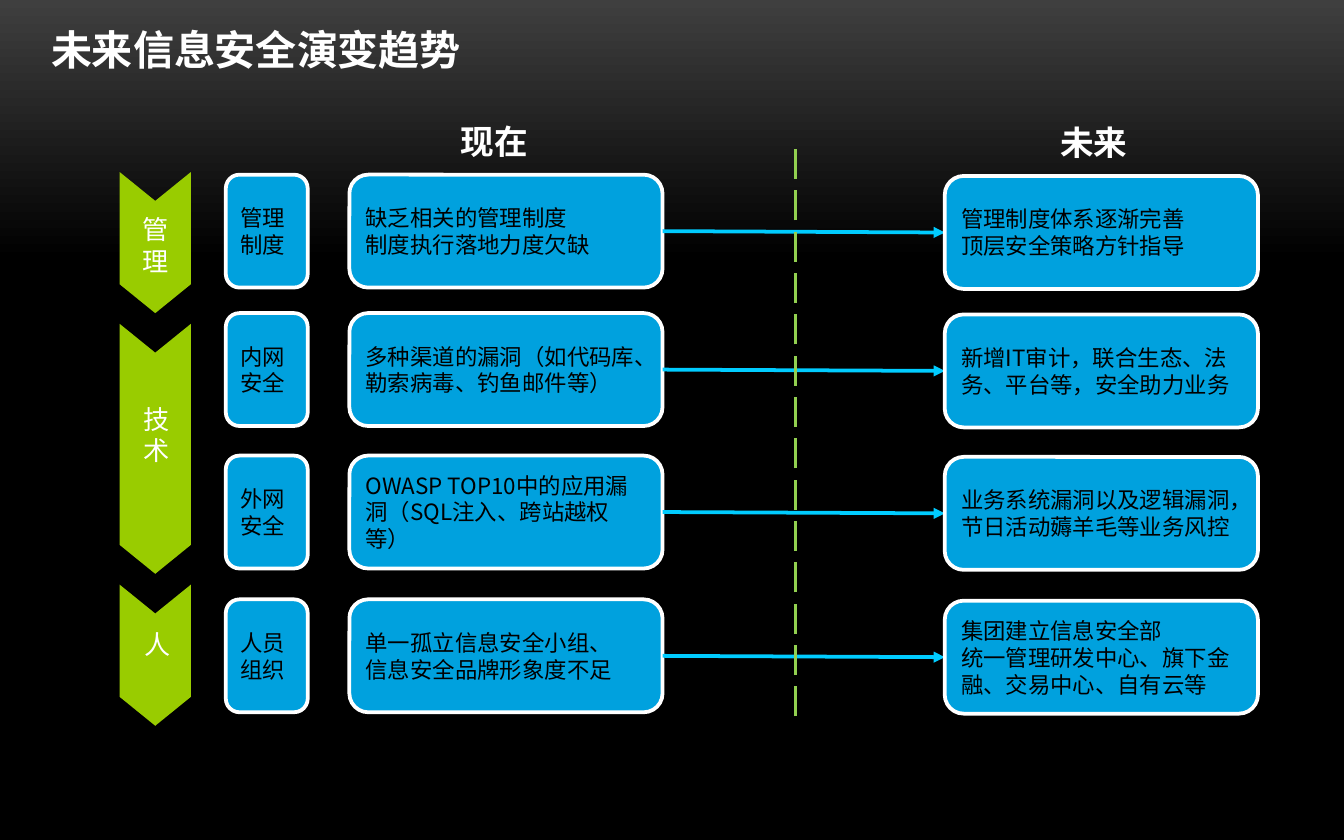
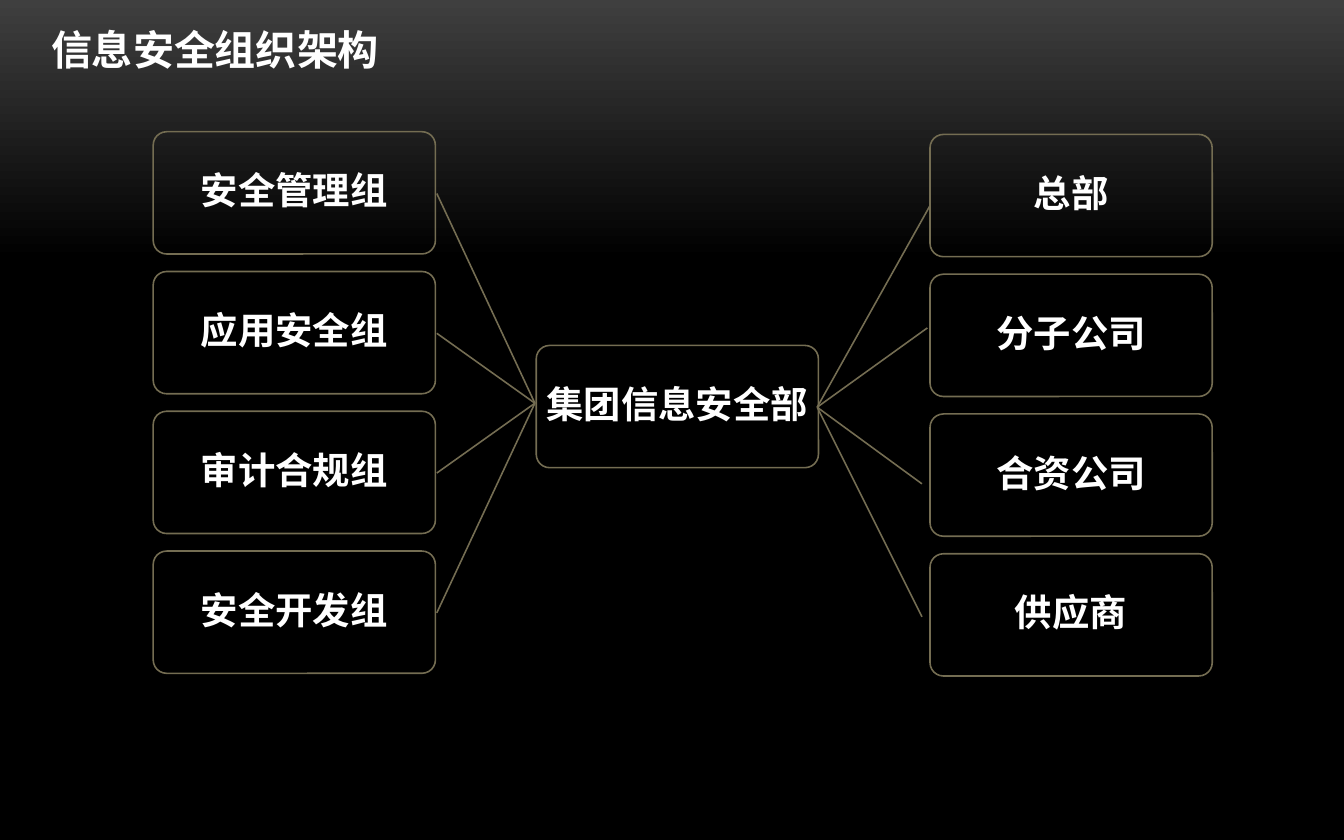
from dataclasses import dataclass

from lxml.etree import SubElement
from pptx import Presentation
from pptx.dml.color import RGBColor
from pptx.enum.dml import MSO_LINE
from pptx.enum.shapes import MSO_CONNECTOR, MSO_SHAPE
from pptx.enum.text import MSO_ANCHOR, PP_ALIGN
from pptx.oxml.ns import qn
from pptx.util import Pt

PX = 9144  # EMU per px, 100 px to the inch
SLIDE_W, SLIDE_H = 1000, 625


@dataclass(frozen=True)
class Theme:
    font: str = "Noto Sans CJK SC"
    bg_top: str = "3F3F3F"
    bg: str = "000000"
    light: str = "FFFFFF"
    dark: str = "000000"
    card: str = "00A1DE"
    arrow: str = "00CCFF"
    divider: str = "92D050"
    chevron: str = "99CC00"
    outline: str = "746D52"
    title_size: int = 22
    unit_size: int = 20
    heading_size: int = 18
    label_size: int = 14
    card_size: int = 12
    thick: float = 2
    thin: float = 0.85


def rgb(color):
    return RGBColor.from_string(color)


def write(tf, text, *, theme, size, color, bold=False, align=PP_ALIGN.LEFT,
          anchor=MSO_ANCHOR.TOP, insets=(10, 5), wrap=True,
          line_spacing=None, after=None):
    """Fill a text frame, one paragraph for each line of text."""
    tf.word_wrap = wrap
    tf.vertical_anchor = anchor
    tf.margin_left = tf.margin_right = insets[0] * PX
    tf.margin_top = tf.margin_bottom = insets[1] * PX
    for i, line in enumerate(text.split("\n")):
        p = tf.add_paragraph() if i else tf.paragraphs[0]
        p.alignment = align
        if line_spacing:
            p.line_spacing = line_spacing
        if after is not None:
            p.space_after = Pt(after)
        r = p.add_run()
        r.text = line
        r.font.size = Pt(size)
        r.font.bold = bold
        r.font.color.rgb = rgb(color)
        r.font.name = theme.font
        rPr = r._r.get_or_add_rPr()
        rPr.set("lang", "zh-CN")
        SubElement(rPr, qn("a:ea"), typeface=theme.font)


class Deck:
    """The presentation, its theme and the slide being drawn."""

    def __init__(self, theme):
        self.theme = theme
        self.prs = Presentation()
        self.prs.slide_width = SLIDE_W * PX
        self.prs.slide_height = SLIDE_H * PX
        self.slide = None
        fill = self.prs.slide_master.background.fill
        fill.gradient()
        fill.gradient_angle = 270
        top, bottom = fill.gradient_stops
        top.position, bottom.position = 0, 0.31
        top.color.rgb, bottom.color.rgb = rgb(theme.bg_top), rgb(theme.bg)

    def new_slide(self, title):
        self.slide = self.prs.slides.add_slide(self.prs.slide_layouts[5])
        sp = self.slide.shapes.title
        sp.left, sp.top, sp.width, sp.height = (v * PX for v in (28, 0, 801, 73))
        write(sp.text_frame, title, theme=self.theme, size=self.theme.title_size,
              color=self.theme.light, bold=True, anchor=MSO_ANCHOR.MIDDLE)

    def shape(self, kind, x, y, w, h, fill=None, line=None, width=None):
        sp = self.slide.shapes.add_shape(kind, *(round(v * PX) for v in (x, y, w, h)))
        sp.shadow.inherit = False
        if fill:
            sp.fill.solid()
            sp.fill.fore_color.rgb = rgb(fill)
        else:
            sp.fill.background()
        if line:
            sp.line.color.rgb = rgb(line)
            sp.line.width = Pt(width)
        else:
            sp.line.fill.background()
        return sp

    def card(self, x, y, w, h, text):
        t = self.theme
        sp = self.shape(MSO_SHAPE.FLOWCHART_ALTERNATE_PROCESS, x, y, w, h,
                        t.card, t.light, t.thick)
        write(sp.text_frame, text, theme=t, size=t.card_size, color=t.dark,
              anchor=MSO_ANCHOR.MIDDLE, insets=(8, 8))

    def unit(self, x, y, text):
        t = self.theme
        sp = self.shape(MSO_SHAPE.ROUNDED_RECTANGLE, x, y, UNIT_W, UNIT_H,
                        line=t.outline, width=t.thin)
        sp.adjustments[0] = 0.11
        write(sp.text_frame, text, theme=t, size=t.unit_size, color=t.light,
              bold=True, align=PP_ALIGN.CENTER, anchor=MSO_ANCHOR.MIDDLE,
              insets=(2, 4), line_spacing=0.9, after=7)

    def down_chevron(self, x, y, w, h):
        """Chevron pointing down; the box is what shows after the turn."""
        sp = self.shape(MSO_SHAPE.CHEVRON, x + (w - h) / 2, y + (h - w) / 2, h, w,
                        self.theme.chevron)
        sp.rotation = 90
        sp.adjustments[0] = 0.405

    def text(self, x, y, w, h, text, size, **fmt):
        sp = self.slide.shapes.add_textbox(*(v * PX for v in (x, y, w, h)))
        write(sp.text_frame, text, theme=self.theme, size=size,
              color=self.theme.light, **fmt)

    def line(self, start, end, color, width, dash=None, arrow=False):
        cxn = self.slide.shapes.add_connector(
            MSO_CONNECTOR.STRAIGHT, *(v * PX for v in (*start, *end)))
        cxn.line.color.rgb = rgb(color)
        cxn.line.width = Pt(width)
        if dash:
            cxn.line.dash_style = dash
        if arrow:
            SubElement(cxn.line._get_or_add_ln(), qn("a:tailEnd"), type="triangle")
        SubElement(cxn._element.spPr, qn("a:effectLst"))


CARD_W, CARD_H = 233, 84
TOPIC_X, TOPIC_W, NOW_X, FUTURE_X = 168, 61, 260, 703
TRENDS = [  # top, topic, now, future
    (130, "管理\n制度", "缺乏相关的管理制度\n制度执行落地力度欠缺",
     "管理制度体系逐渐完善\n顶层安全策略方针指导"),
    (233, "内网安全", "多种渠道的漏洞（如代码库、勒索病毒、钓鱼邮件等）",
     "新增IT审计，联合生态、法务、平台等，安全助力业务"),
    (339, "外网安全", "OWASP TOP10中的应用漏洞（SQL注入、跨站越权等）",
     "业务系统漏洞以及逻辑漏洞，\n节日活动薅羊毛等业务风控"),
    (446, "人员组织", "单一孤立信息安全小组、\n信息安全品牌形象度不足",
     "集团建立信息安全部\n统一管理研发中心、旗下金融、交易中心、自有云等"),
]
CHEVRON_X, CHEVRON_TOP, CHEVRON_W, CHEVRON_GAP = 89, 128, 53, 8
LAYERS = [  # chevron length, label, label box
    (105, "管理", (96, 154, 38, 57)),
    (186, "技术", (97, 295, 38, 57)),
    (105, "人", (98, 463, 45, 34)),
]

UNIT_W, UNIT_H, UNIT_PITCH = 210, 91, 104
GROUPS = ["安全管理组", "应用安全组", "审计合规组", "安全开发组"]
ENTITIES = ["总部", "分子公司", "合资公司", "供应商"]
ENTITY_ENDS = [(692, 153), (690, 244), (686, 360), (686, 459)]


def draw_trends(deck):
    t = deck.theme
    deck.new_slide("未来信息安全演变趋势")
    for y, topic, now, future in TRENDS:
        mid = y + CARD_H // 2
        deck.card(NOW_X, y, CARD_W, CARD_H, now)
        deck.line((NOW_X + CARD_W, mid), (FUTURE_X, mid + 1), t.arrow, t.thick,
                  arrow=True)
        deck.card(TOPIC_X, y, TOPIC_W, CARD_H, topic)
        deck.card(FUTURE_X, y + 1, CARD_W, CARD_H, future)
    deck.line((592, 533), (592, 105), t.divider, t.thick, dash=MSO_LINE.LONG_DASH)
    for x, y, heading in ((333, 85, "现在"), (779, 86, "未来")):
        deck.text(x, y, 71, 40, heading, t.heading_size, bold=True, wrap=False)
    y = CHEVRON_TOP
    for length, label, box in LAYERS:
        deck.down_chevron(CHEVRON_X, y, CHEVRON_W, length)
        deck.text(*box, label, t.label_size)
        y += length + CHEVRON_GAP


def draw_organisation(deck):
    t = deck.theme
    deck.new_slide("信息安全组织架构")
    deck.unit(399, 257, "集团信息安全部")
    for i, (group, entity, end) in enumerate(zip(GROUPS, ENTITIES, ENTITY_ENDS)):
        offset = i * UNIT_PITCH
        deck.line((398, 300), (325, 144 + offset), t.outline, t.thin)
        deck.line((608, 303), end, t.outline, t.thin)
        deck.unit(114, 98 + offset, group)
        deck.unit(692, 100 + offset, entity)


def main():
    deck = Deck(Theme())
    draw_trends(deck)
    draw_organisation(deck)
    deck.prs.save("out.pptx")


if __name__ == "__main__":
    main()
